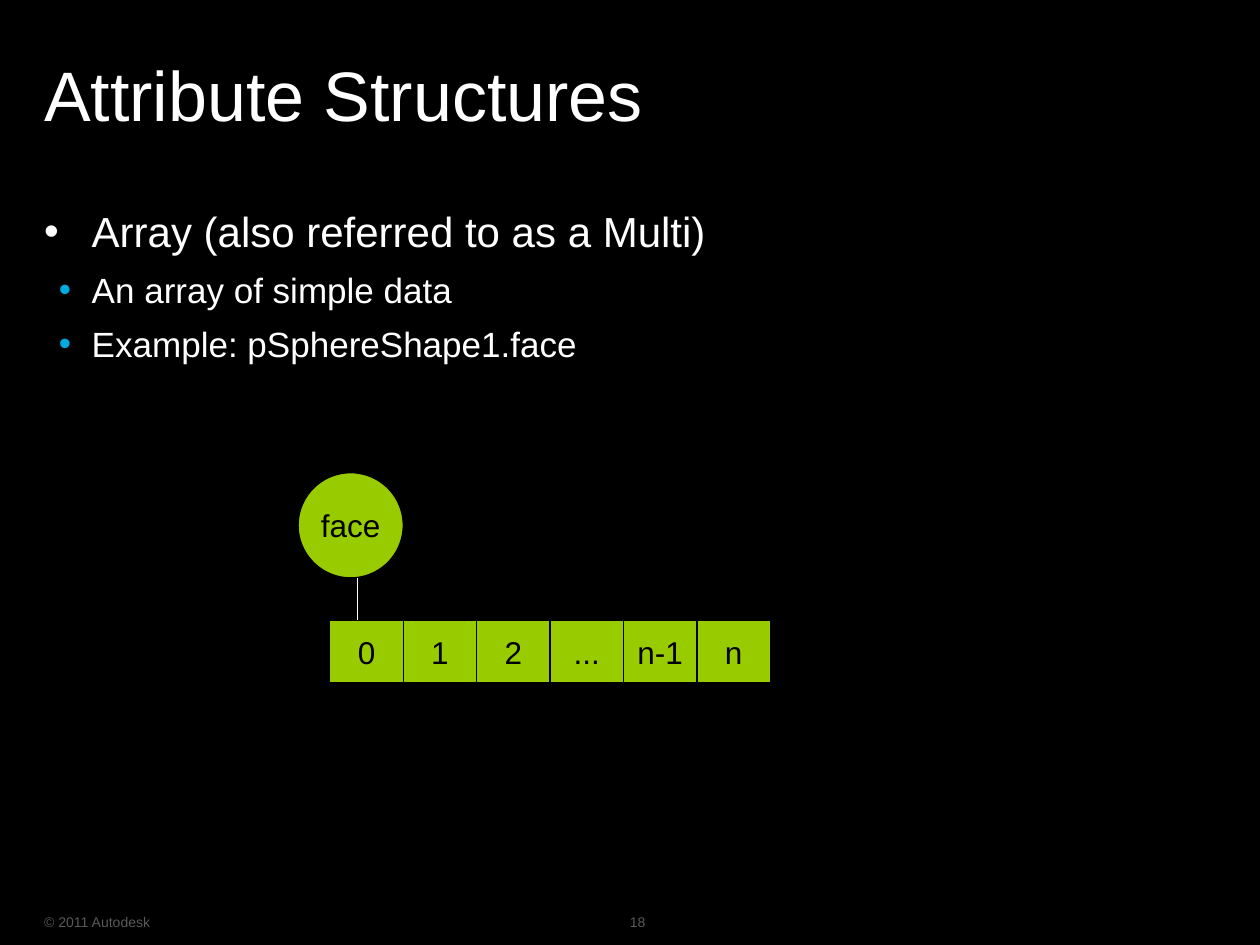
from lxml.etree import SubElement
from pptx import Presentation
from pptx.dml.color import RGBColor
from pptx.enum.shapes import MSO_CONNECTOR as CONNECTOR, MSO_SHAPE as SHAPE
from pptx.enum.text import MSO_ANCHOR as ANCHOR, MSO_AUTO_SIZE as AUTO_SIZE, PP_ALIGN as ALIGN
from pptx.oxml.ns import qn
from pptx.util import Cm, Pt

BLACK = RGBColor(0x00, 0x00, 0x00)
WHITE = RGBColor(0xFF, 0xFF, 0xFF)
GREEN = RGBColor(0x99, 0xCC, 0x00)
CYAN = RGBColor(0x00, 0xAA, 0xDD)
GREY = RGBColor(0x59, 0x59, 0x59)

MARGIN = Cm(0.89)
CONTENT_WIDTH = Cm(22.81)


class SlideBuilder:
    font_name = "Arial"
    line_width = Pt(0.75)

    def __init__(self, slide):
        self.slide = slide
        slide.background.fill.solid()
        slide.background.fill.fore_color.rgb = BLACK

    def add_run(self, paragraph, text, size, color):
        run = paragraph.add_run()
        run.text = text
        run.font.name = self.font_name
        run.font.size = Pt(size)
        run.font.color.rgb = color

    def set_frame(self, frame, anchor):
        frame.margin_left = frame.margin_right = 0
        frame.margin_top = frame.margin_bottom = 0
        frame.vertical_anchor = anchor
        frame.word_wrap = True
        frame.auto_size = AUTO_SIZE.NONE

    def text_box(self, left, top, width, height, anchor=ANCHOR.MIDDLE):
        frame = self.slide.shapes.add_textbox(left, top, width, height).text_frame
        self.set_frame(frame, anchor)
        return frame

    def title(self, text):
        heading = self.slide.shapes.title
        heading.left, heading.top = MARGIN, Cm(0.38)
        heading.width, heading.height = CONTENT_WIDTH, Cm(3.18)
        self.set_frame(heading.text_frame, ANCHOR.MIDDLE)
        paragraph = heading.text_frame.paragraphs[0]
        paragraph.alignment = ALIGN.LEFT
        paragraph.line_spacing = 0.95
        self.add_run(paragraph, text, 40, WHITE)

    def footer(self, text, left, width):
        frame = self.text_box(left, Cm(18.26), width, Cm(0.64))
        self.add_run(frame.paragraphs[0], text, 8, GREY)

    def bullets(self, items, left, top, width, height):
        frame = self.text_box(left, top, width, height, ANCHOR.TOP)
        for index, (level, text) in enumerate(items):
            paragraph = frame.add_paragraph() if index else frame.paragraphs[0]
            size, hanging, color = ((24, 0.96, WHITE), (20, 0.66, CYAN))[level]
            self.add_bullet(paragraph, hanging, color)
            paragraph.level = level
            paragraph.space_before = Pt(3.6 if index else 0)
            paragraph.space_after = Pt(3.6)
            self.add_run(paragraph, text, size, WHITE)

    def add_bullet(self, paragraph, hanging, color):
        properties = paragraph._p.get_or_add_pPr()
        properties.set("marL", str(Cm(0.96)))
        properties.set("indent", str(-Cm(hanging)))
        bullet_color = SubElement(properties, qn("a:buClr"))
        SubElement(bullet_color, qn("a:srgbClr"), val=str(color))
        SubElement(properties, qn("a:buFont"), typeface=self.font_name)
        SubElement(properties, qn("a:buChar"), char="•")

    def node(self, kind, text, left, top, width, height):
        shape = self.slide.shapes.add_shape(kind, left, top, width, height)
        shape.shadow.inherit = False
        shape.fill.solid()
        shape.fill.fore_color.rgb = GREEN
        shape.line.color.rgb = BLACK
        shape.line.width = self.line_width
        frame = shape.text_frame
        frame.word_wrap = False
        frame.vertical_anchor = ANCHOR.MIDDLE
        frame.paragraphs[0].alignment = ALIGN.CENTER
        self.add_run(frame.paragraphs[0], text, 18, BLACK)

    def link(self, x1, y1, x2, y2):
        line = self.slide.shapes.add_connector(CONNECTOR.STRAIGHT, x1, y1, x2, y2)
        line.line.color.rgb = WHITE
        line.line.width = self.line_width
        SubElement(line._element.spPr, qn("a:effectLst"))


def main():
    deck = Presentation()
    deck.slide_width, deck.slide_height = Cm(25.4), Cm(19.05)
    title_only = deck.slide_layouts[5]
    builder = SlideBuilder(deck.slides.add_slide(title_only))

    # Footer
    builder.footer("© 2011 Autodesk", MARGIN, Cm(6.15))
    builder.footer("18", Cm(12.7), Cm(0.84))

    # Title and bullets
    builder.title("Attribute Structures")
    topics = [
        (0, "Array (also referred to as a Multi)"),
        (1, "An array of simple data"),
        (1, "Example: pSphereShape1.face"),
    ]
    builder.bullets(topics, MARGIN, Cm(4.14), CONTENT_WIDTH, Cm(14))

    # Array attribute with its elements
    face_top, face_size = Cm(9.53), Cm(2.12)
    array_left, array_top = Cm(6.65), Cm(12.5)
    element_width, element_height = Cm(1.48), Cm(1.27)
    builder.node(SHAPE.OVAL, "face", Cm(6.01), face_top, face_size, face_size)
    for index, label in enumerate(["0", "1", "2", "...", "n-1", "n"]):
        builder.node(SHAPE.RECTANGLE, label, array_left + index * element_width,
                     array_top, element_width, element_height)
    link_x = Cm(7.2)
    builder.link(link_x, face_top + face_size, link_x, array_top)

    deck.save("out.pptx")


if __name__ == "__main__":
    main()
